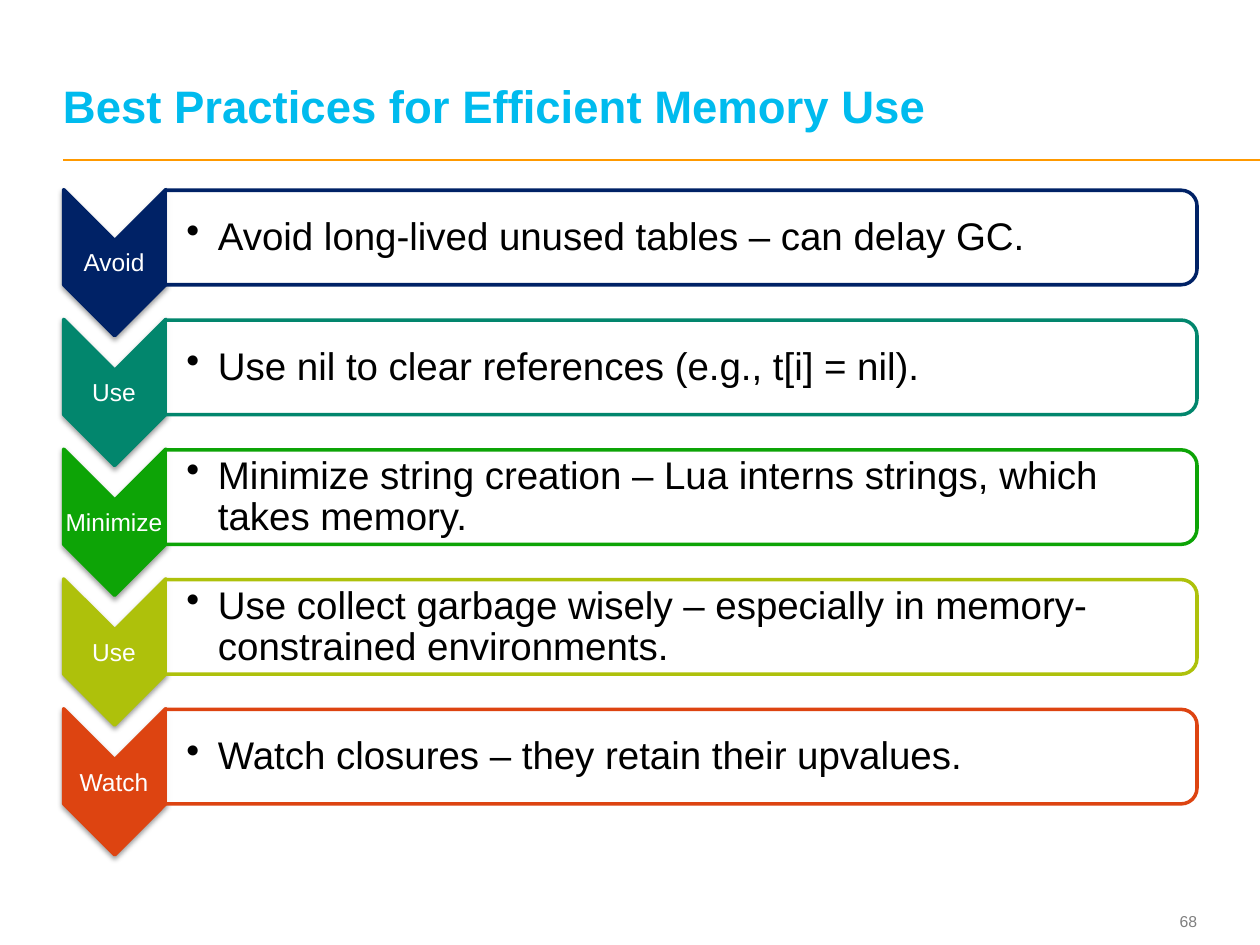
from lxml import etree
from pptx import Presentation
from pptx import util as u
from pptx.dml.color import RGBColor
from pptx.enum import shapes, text
from pptx.oxml import ns

Inches, Pt = u.Inches, u.Pt


def rgb(value):
    return RGBColor.from_string(value)


def add_text(words, left, top, width, height, size, color, align, anchor, inset, bullet=False):
    """Add a one-paragraph text box; inset is (left, other sides) in inches."""
    box = page.shapes.add_textbox(Inches(left), Inches(top), Inches(width), Inches(height))
    frame = box.text_frame
    frame.word_wrap = True
    frame.vertical_anchor = anchor
    frame.margin_left = Inches(inset[0])
    frame.margin_top = frame.margin_right = frame.margin_bottom = Inches(inset[1])
    para = frame.paragraphs[0]
    para.text = words
    para.alignment = align
    if bullet:
        properties = para._p.get_or_add_pPr()
        properties.set("marL", str(Inches(0.25)))
        properties.set("indent", str(-Inches(0.25)))
        etree.SubElement(properties, ns.qn("a:buChar"), char="•")
    para.font.name = "Arial"
    para.font.size = Pt(size)
    para.font.color.rgb = rgb(color)
    return para


deck = Presentation()
deck.slide_width, deck.slide_height = Inches(10), Inches(7.5)
page = deck.slides.add_slide(deck.slide_layouts[6])

rule = page.shapes.add_connector(
    shapes.MSO_CONNECTOR.STRAIGHT, Inches(0.5), Inches(1.27), Inches(10), Inches(1.27))
rule.line.color.rgb = rgb("FF9900")
rule.line.width = Pt(1)
etree.SubElement(rule._element.spPr, ns.qn("a:effectLst"))

add_text("68", 8.91, 7.18, 0.59, 0.27, 9, "7F7F7F",
         text.PP_ALIGN.RIGHT, text.MSO_ANCHOR.MIDDLE, (0, 0))
title = add_text("Best Practices for Efficient Memory Use", 0.5, 0.19, 8.97, 0.86, 26, "00BBEE",
                 text.PP_ALIGN.LEFT, text.MSO_ANCHOR.BOTTOM, (0, 0))
title.font.bold = True
title.line_spacing = Pt(26)

practices = [
    ("Avoid", "002266", "Avoid long-lived unused tables – can delay GC."),
    ("Use", "02866D", "Use nil to clear references (e.g., t[i] = nil)."),
    ("Minimize", "0DA406", "Minimize string creation – Lua interns strings, which takes memory."),
    ("Use", "AEC10B", "Use collect garbage wisely – especially in memory-constrained environments."),
    ("Watch", "DD4411", "Watch closures – they retain their upvalues."),
]
row_pitch = 1.03

for row, (label, color, advice) in enumerate(practices):
    offset = row * row_pitch

    chevron = page.shapes.add_shape(
        shapes.MSO_SHAPE.CHEVRON, Inches(0.33), Inches(1.68 + offset), Inches(1.16), Inches(0.81))
    bar = page.shapes.add_shape(
        shapes.MSO_SHAPE.ROUND_2_SAME_RECTANGLE,
        Inches(5.03), Inches(-2.21 + offset), Inches(0.75), Inches(8.19))
    for shape, fill in ((chevron, color), (bar, "FFFFFF")):
        shape.rotation = 90
        shape.shadow.inherit = False
        shape.fill.solid()
        shape.fill.fore_color.rgb = rgb(fill)
        shape.line.color.rgb = rgb(color)
        shape.line.width = Pt(2)

    effects = chevron._element.spPr.find(ns.qn("a:effectLst"))
    shadow = etree.SubElement(
        effects, ns.qn("a:outerShdw"), blurRad=str(Pt(3.1)), dist=str(Pt(1.6)),
        dir="5400000", rotWithShape="0")
    shadow_color = etree.SubElement(shadow, ns.qn("a:srgbClr"), val="000000")
    etree.SubElement(shadow_color, ns.qn("a:alpha"), val="38000")

    bar_color = bar._element.spPr.find(ns.qn("a:solidFill")).find(ns.qn("a:srgbClr"))
    etree.SubElement(bar_color, ns.qn("a:alpha"), val="90000")

    label_para = add_text(label, 0.5, 1.92 + offset, 0.81, 0.35, 14, "FFFFFF",
                          text.PP_ALIGN.CENTER, text.MSO_ANCHOR.MIDDLE, (0.01, 0.01))
    advice_para = add_text(advice, 1.31, 1.55 + offset, 8.15, 0.68, 22, "000000",
                           text.PP_ALIGN.LEFT, text.MSO_ANCHOR.MIDDLE, (0.17, 0.02), bullet=True)
    label_para.line_spacing = advice_para.line_spacing = 0.9

deck.save("out.pptx")
